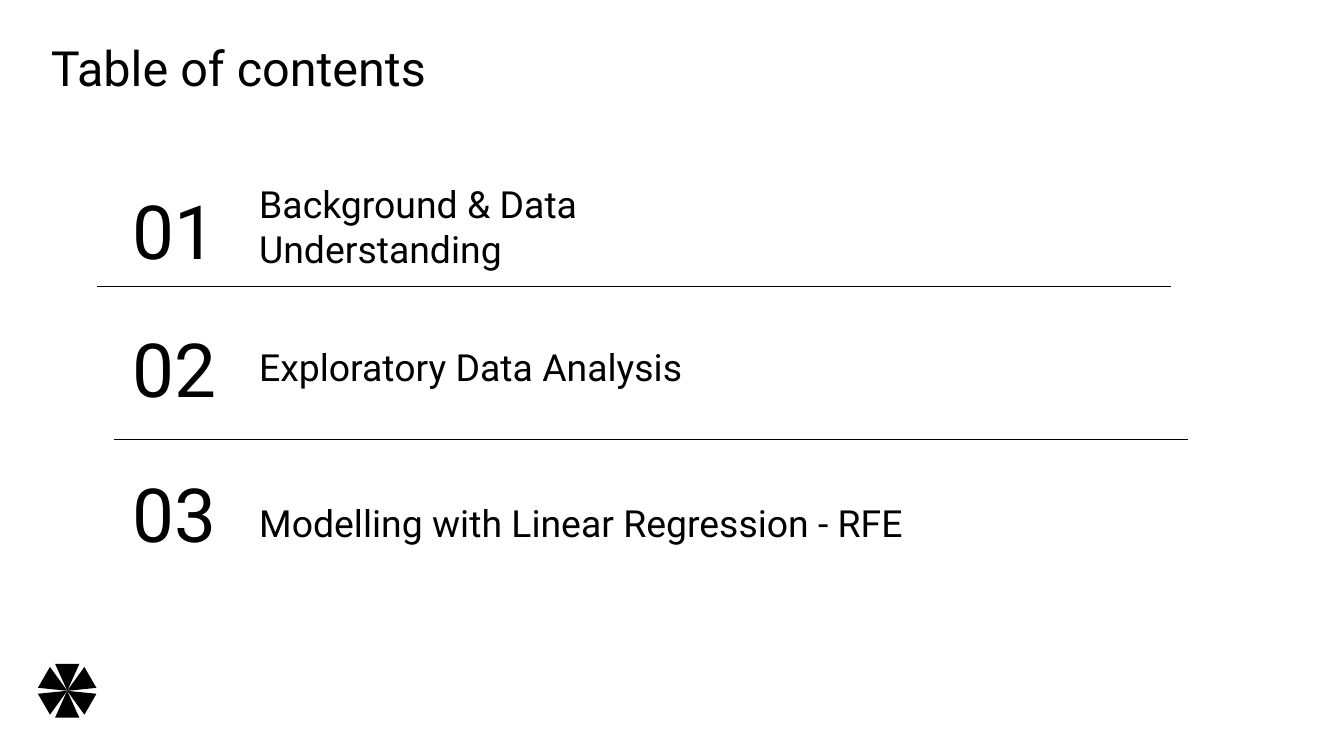
import math

import pptx
import pptx.dml.color
import pptx.enum.shapes
import pptx.enum.text
import pptx.oxml
import pptx.oxml.ns
import pptx.util

Inches = pptx.util.Inches
ALIGN = pptx.enum.text.PP_ALIGN
ANCHOR = pptx.enum.text.MSO_ANCHOR


def colour(value):
    return pptx.dml.color.RGBColor.from_string(value)


class SlideBuilder:
    font = "Roboto"
    ink = "000000"
    paper = "FFFFFF"

    def __init__(self, presentation):
        self.slide = presentation.slides.add_slide(presentation.slide_layouts[6])
        background = self.slide.background.fill
        background.solid()
        background.fore_color.rgb = colour(self.paper)

    def text(self, wording, left, top, width, height, size,
             align=ALIGN.LEFT, anchor=ANCHOR.MIDDLE):
        shape = self.slide.shapes.add_textbox(
            Inches(left), Inches(top), Inches(width), Inches(height))
        frame = shape.text_frame
        frame_format = {"word_wrap": True, "vertical_anchor": anchor}
        for side in ("left", "top", "right", "bottom"):
            frame_format[f"margin_{side}"] = Inches(0.1)
        for name, value in frame_format.items():
            setattr(frame, name, value)
        paragraph = frame.paragraphs[0]
        paragraph.alignment = align
        run = paragraph.add_run()
        run.text = wording
        for name, value in {"name": self.font, "size": pptx.util.Pt(size)}.items():
            setattr(run.font, name, value)
        run.font.color.rgb = colour(self.ink)

    def rule(self, left, top, length):
        connector = self.slide.shapes.add_connector(
            pptx.enum.shapes.MSO_CONNECTOR.STRAIGHT,
            Inches(left), Inches(top), Inches(left + length), Inches(top))
        connector.line.color.rgb = colour(self.ink)
        connector.line.width = pptx.util.Pt(0.75)
        properties = connector.element.find(pptx.oxml.ns.qn("p:spPr"))
        properties.append(pptx.oxml.parse_xml(
            f"<a:effectLst {pptx.oxml.ns.nsdecls('a')}/>"))

    def pinwheel(self, centre_x, centre_y, width, height, blades=6):
        group = self.slide.shapes.add_group_shape()
        for blade in range(blades):
            rotation = 360 / blades * blade
            angle = math.radians(rotation)
            # Each tip touches the centre
            x = centre_x - height / 2 * math.sin(angle)
            y = centre_y + height / 2 * math.cos(angle)
            shape = group.shapes.add_shape(
                pptx.enum.shapes.MSO_SHAPE.ISOSCELES_TRIANGLE,
                Inches(x - width / 2), Inches(y - height / 2),
                Inches(width), Inches(height))
            shape.rotation = rotation
            shape.shadow.inherit = False
            shape.fill.solid()
            shape.fill.fore_color.rgb = colour(self.ink)
            shape.line.fill.background()


def main():
    # Widescreen slide, 16:9
    presentation = pptx.Presentation()
    presentation.slide_width = Inches(10)
    presentation.slide_height = Inches(10 * 9 / 16)
    builder = SlideBuilder(presentation)

    # Heading
    builder.text("Table of contents", 0.28, 0.18, 8.43, 0.63, 26, anchor=ANCHOR.TOP)

    # Numbered sections: number top, title, title top, width and height
    sections = [
        (1.29, "Background & Data Understanding", 1.47, 4.24, 0.43),
        (2.32, "Exploratory Data Analysis", 2.51, 4.24, 0.43),
        (3.40, "Modelling with Linear Regression - RFE", 3.43, 6.09, 0.91),
    ]
    for number, (number_top, title, top, width, height) in enumerate(sections, 1):
        builder.text(f"{number:02}", 0.87, number_top, 0.85, 0.83, 40, ALIGN.CENTER)
        builder.text(title, 1.83, top, width, height, 20)

    # Dividers between sections
    for left, top in ((0.72, 2.13), (0.85, 3.27)):
        builder.rule(left, top, 7.99)

    # Corner ornament
    builder.pinwheel(0.5, 5.14, 0.18, 0.2)

    presentation.save("out.pptx")


if __name__ == "__main__":
    main()
